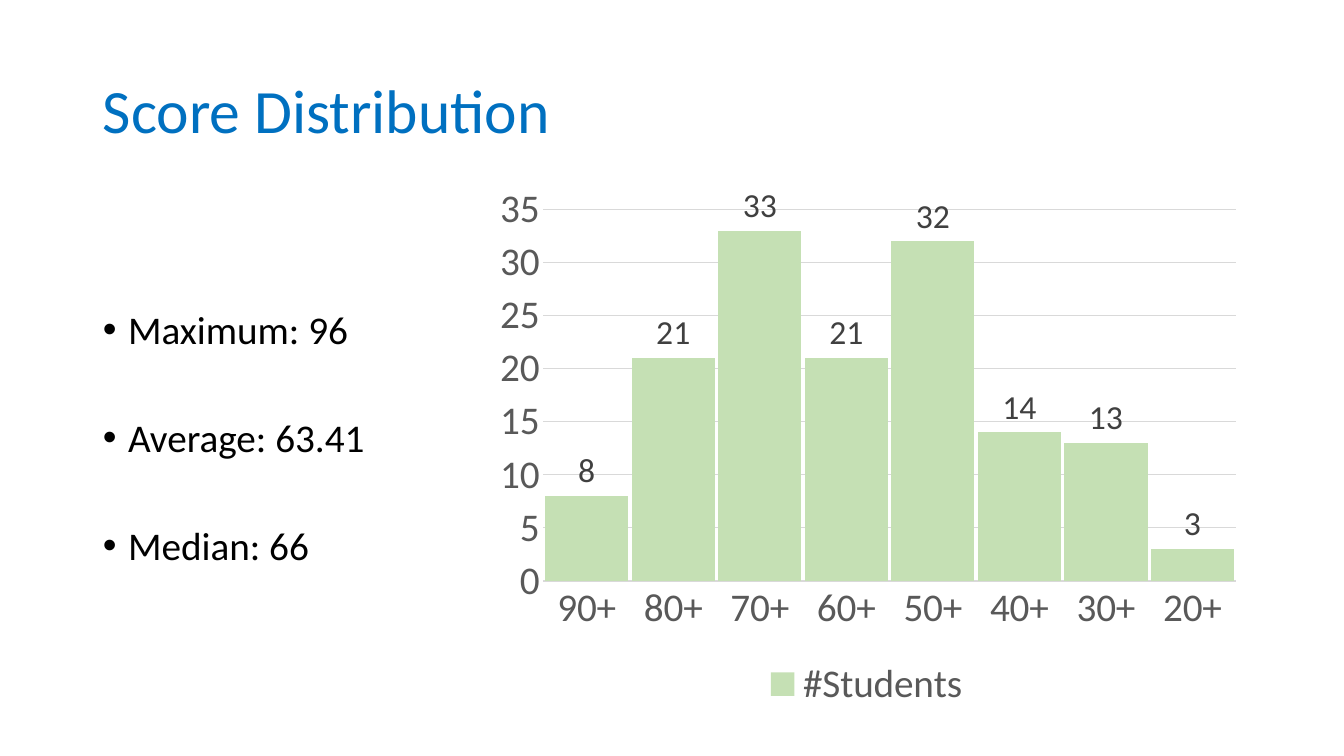
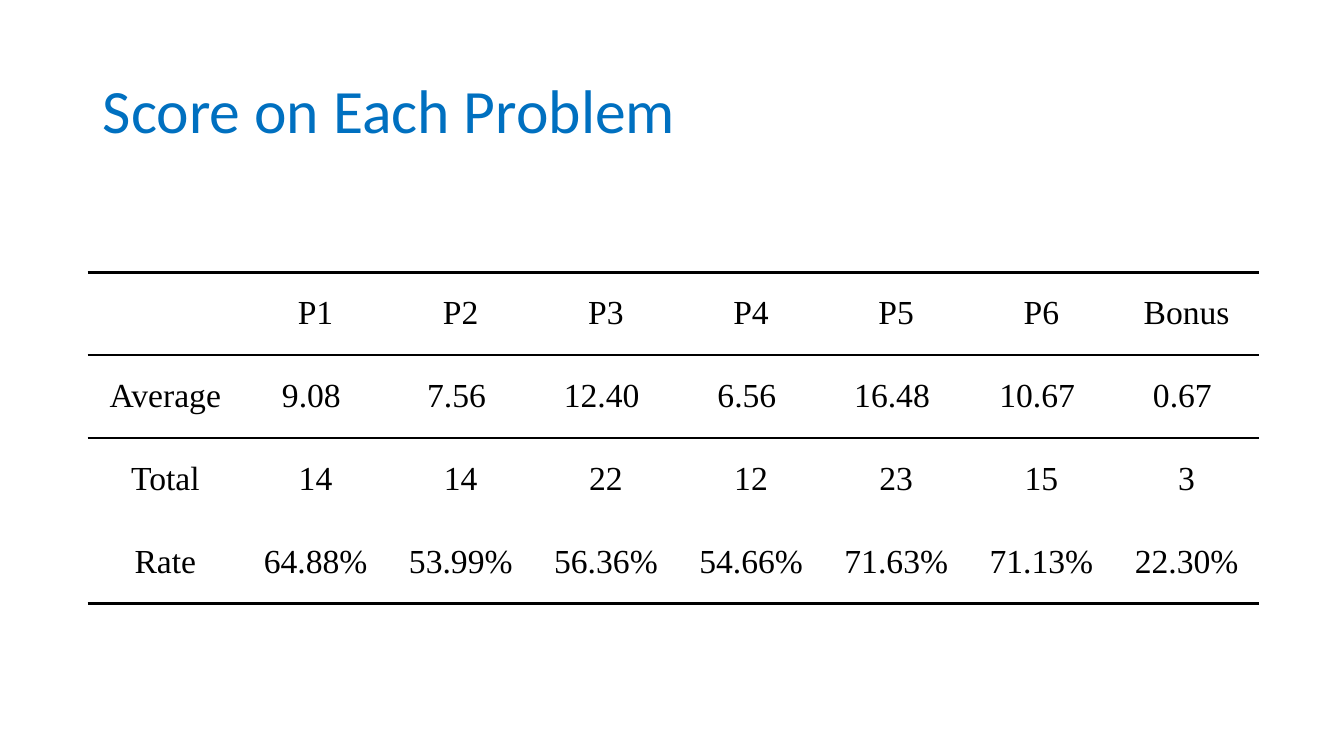
from lxml.etree import SubElement
from pptx import Presentation
from pptx.chart.data import CategoryChartData
from pptx.dml.color import RGBColor
from pptx.enum.chart import (
    XL_CHART_TYPE as ChartType,
    XL_LABEL_POSITION as LabelPosition,
    XL_LEGEND_POSITION as LegendPosition,
    XL_TICK_MARK as TickMark,
)
from pptx.enum.text import MSO_ANCHOR as Anchor, MSO_AUTO_SIZE as AutoSize, PP_ALIGN as Align
from pptx.oxml.ns import qn
from pptx.util import Inches, Pt

SANS, SERIF = "Calibri", "Times New Roman"
BLACK, BLUE, GREEN = "000000", "0070C0", "C5E0B4"
GRAY, DARK_GRAY, PALE_GRAY = "595959", "404040", "D9D9D9"
TITLE_ONLY, TITLE_AND_BODY = 5, 1
NO_TABLE_STYLE = "{2D5ABB26-0587-4C30-8999-92F81FD0307C}"

STATISTICS = ["Maximum: 96", "Average: 63.41", "Median: 66"]
STUDENTS = {"90+": 8, "80+": 21, "70+": 33, "60+": 21,
            "50+": 32, "40+": 14, "30+": 13, "20+": 3}
PROBLEM_SCORES = [
    ["", "P1", "P2", "P3", "P4", "P5", "P6", "Bonus"],
    ["Average", "9.08 ", "7.56 ", "12.40 ", "6.56 ", "16.48 ", "10.67 ", "0.67 "],
    ["Total", "14", "14", "22", "12", "23", "15", "3"],
    ["Rate", "64.88%", "53.99%", "56.36%", "54.66%", "71.63%", "71.13%", "22.30%"],
]
RULE_WIDTHS = [2.25, 1.5, 1.5, 0, 2.25]


def rgb(color):
    return RGBColor.from_string(color)


def style_font(font, size, color, name=SANS):
    font.size, font.name = Pt(size), name
    font.color.rgb = rgb(color)


def place(shape, left, top, width, height):
    shape.left, shape.top = Inches(left), Inches(top)
    shape.width, shape.height = Inches(width), Inches(height)


def write(para, text, size, color=BLACK, font=SANS, align=Align.LEFT, spacing=None, before=None):
    """Put formatted text in a paragraph; spacing is in lines, before in points."""
    para.alignment, para.line_spacing = align, spacing
    if before is not None:
        para.space_before = Pt(before)
    span = para.add_run()
    span.text = text
    style_font(span.font, size, color, font)


def add_page(deck, layout, title):
    page = deck.slides.add_slide(deck.slide_layouts[layout])
    box = page.shapes.title
    place(box, 0.92, 0.4, 11.5, 1.45)
    box.text_frame.vertical_anchor = Anchor.MIDDLE
    box.text_frame.auto_size = AutoSize.NONE
    write(box.text_frame.paragraphs[0], title, 44, BLUE, spacing=0.9)
    return page


def fill_body(page, items):
    box = page.placeholders[1]
    place(box, 0.92, 2.51, 11.5, 4.25)
    frame = box.text_frame
    frame.auto_size = AutoSize.NONE
    for index, item in enumerate(items):
        para = frame.add_paragraph() if index else frame.paragraphs[0]
        write(para, item, 28, spacing=2, before=10)
        properties = para._p.get_or_add_pPr()
        properties.set("marL", str(Inches(0.25)))
        properties.set("indent", str(Inches(-0.25)))


def set_plot_layout(chart, **fractions):
    """Fix the inner plot area, given as fractions of the chart's size."""
    plot_area = chart._chartSpace.chart.plotArea
    layout = plot_area.find(qn("c:layout"))
    if layout is None:
        layout = SubElement(plot_area, qn("c:layout"))
        plot_area.insert(0, layout)
    manual = SubElement(layout, qn("c:manualLayout"))
    settings = {"layoutTarget": "inner", "xMode": "edge", "yMode": "edge", **fractions}
    for tag, value in settings.items():
        SubElement(manual, qn(f"c:{tag}")).set("val", str(value))


def add_column_chart(page, name, values):
    data = CategoryChartData()
    data.categories = list(values)
    data.add_series(name, list(values.values()))
    frame = page.shapes.add_chart(ChartType.COLUMN_CLUSTERED, Inches(4.78), Inches(1.76),
                                  Inches(7.63), Inches(5.34), data)
    chart = frame.chart
    chart.has_title = False
    style_font(chart.font, 28, BLACK)
    set_plot_layout(chart, x=0.08, y=0.06, w=0.9, h=0.69)

    chart.has_legend = True
    chart.legend.position = LegendPosition.BOTTOM
    chart.legend.include_in_layout = False
    style_font(chart.legend.font, 28, GRAY)

    for axis in (chart.category_axis, chart.value_axis):
        axis.major_tick_mark = axis.minor_tick_mark = TickMark.NONE
        style_font(axis.tick_labels.font, 28, GRAY)
    chart.value_axis.minimum_scale, chart.value_axis.maximum_scale = 0, 35
    chart.value_axis.major_unit = 5
    chart.value_axis.format.line.fill.background()
    for line in (chart.category_axis.format.line, chart.value_axis.major_gridlines.format.line):
        line.color.rgb = rgb(PALE_GRAY)
        line.width = Pt(0.75)

    plot = chart.plots[0]
    plot.gap_width, plot.overlap, plot.vary_by_categories = 4, -27, False
    fill = plot.series[0].format.fill
    fill.solid()
    fill.fore_color.rgb = rgb(GREEN)
    plot.has_data_labels = True
    labels = plot.data_labels
    labels.show_value, labels.position = True, LabelPosition.OUTSIDE_END
    style_font(labels.font, 24, DARK_GRAY)


def set_border(cell, side, width):
    """Draw one side (L, R, T or B) of a cell in black; a width of 0 hides it."""
    line = SubElement(cell._tc.get_or_add_tcPr(), qn(f"a:ln{side}"), w=str(Pt(width)))
    if width:
        SubElement(SubElement(line, qn("a:solidFill")), qn("a:srgbClr"), val=BLACK)
    else:
        SubElement(line, qn("a:noFill"))


def add_ruled_table(page, rows, rule_widths):
    """Add a table with horizontal rules only, one width for each row edge."""
    frame = page.shapes.add_table(len(rows), len(rows[0]), Inches(0.87), Inches(2.7),
                                  Inches(11.62), Inches(3.29))
    table = frame.table
    table.first_row = table.horz_banding = False
    table._tbl.tblPr.find(qn("a:tableStyleId")).text = NO_TABLE_STYLE
    for index, column in enumerate(table.columns):
        column.width = Inches(1.44 if index else 1.54)
    for row_index, texts in enumerate(rows):
        for column_index, text in enumerate(texts):
            cell = table.cell(row_index, column_index)
            cell.vertical_anchor = Anchor.MIDDLE
            borders = {"L": 0, "R": 0, "T": rule_widths[row_index], "B": rule_widths[row_index + 1]}
            for side, width in borders.items():
                set_border(cell, side, width)
            cell.fill.background()
            if text:
                write(cell.text_frame.paragraphs[0], text, 24, font=SERIF, align=Align.CENTER)


def main():
    deck = Presentation()
    deck.slide_width, deck.slide_height = Inches(13.33), Inches(7.5)

    page = add_page(deck, TITLE_AND_BODY, "Score Distribution")
    add_column_chart(page, "#Students", STUDENTS)
    fill_body(page, STATISTICS)

    page = add_page(deck, TITLE_ONLY, "Score on Each Problem")
    add_ruled_table(page, PROBLEM_SCORES, RULE_WIDTHS)

    deck.save("out.pptx")


if __name__ == "__main__":
    main()
